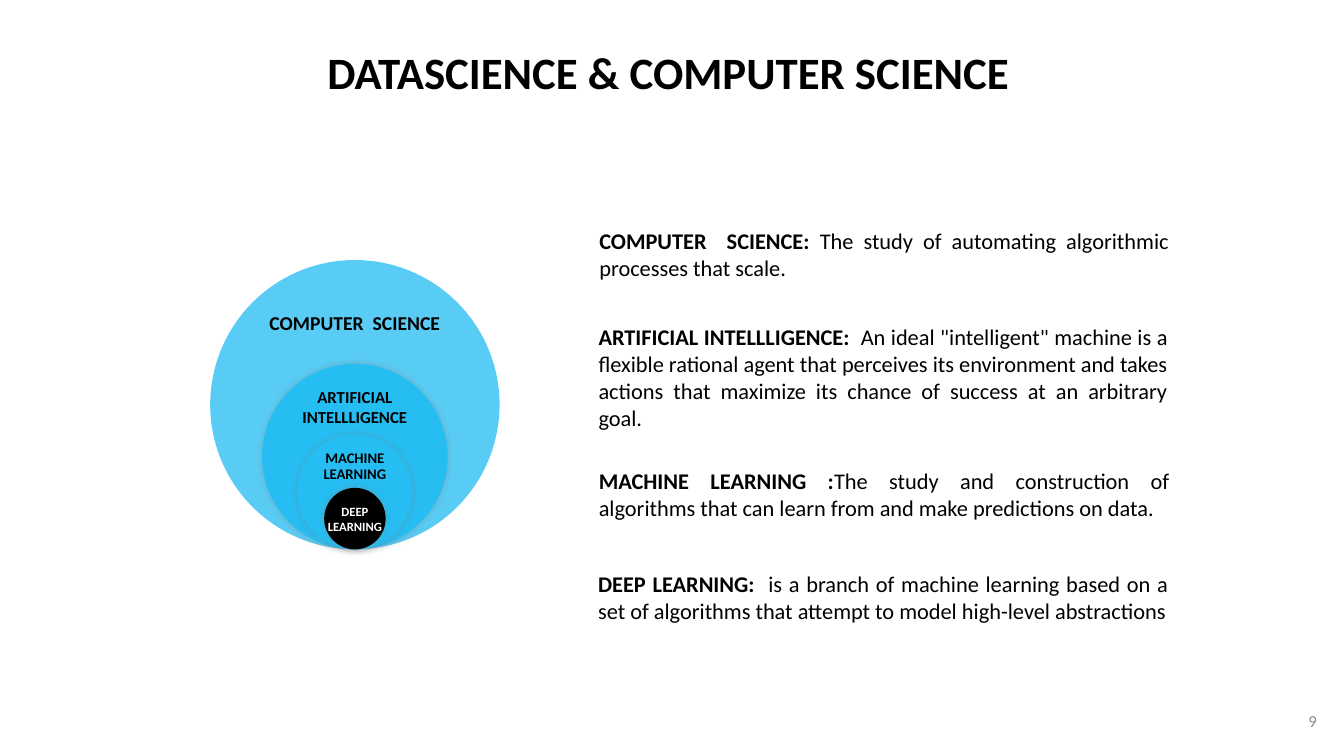
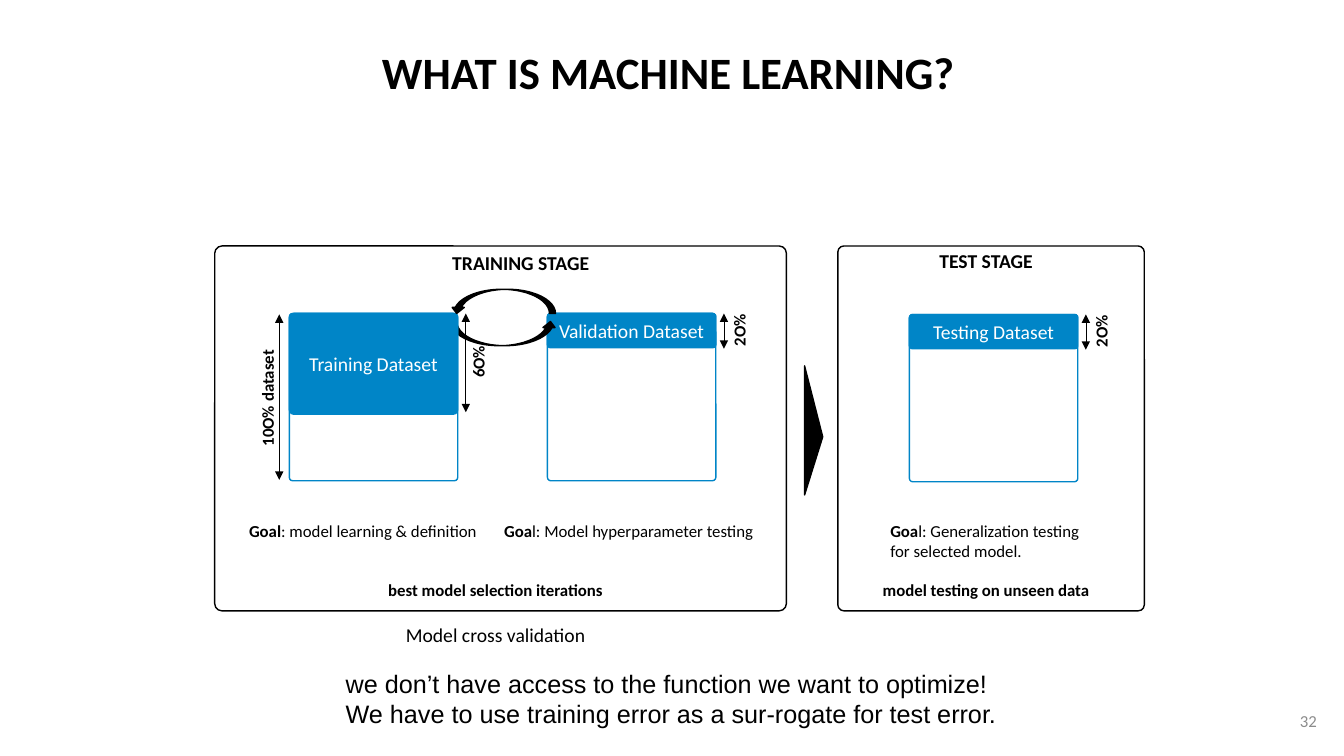
from lxml.etree import SubElement as Sub
from pptx import Presentation
from pptx.dml.color import RGBColor
from pptx.enum.shapes import MSO_CONNECTOR as Link, MSO_SHAPE as Form
from pptx.enum.text import MSO_ANCHOR as Anchor, PP_ALIGN as Align
from pptx.oxml.ns import qn
from pptx.util import Inches, Pt

HEX = {"ink": "000000", "paper": "FFFFFF", "grey": "8C8C8C", "shade": "808080",
       "pale": "59CCF5", "sky": "26BDF2", "blue": "0085C7"}
FONT = "Calibri"
SIDE = 1.67          # width of a dataset box
FULL = 1.66          # height of the whole dataset
PAD = (0.1, 0.05, 0.1, 0.05)
SLIM = (0, 0.05, 0.1, 0.05)


def tint(name):
    return RGBColor.from_string(HEX[name])


def write(frame, text, size, color="ink", bold=False, align=Align.LEFT,
          lead="", font=FONT, pitch=None):
    """Fill a frame; a lead is a bold run before the text."""
    frame.text = lead or text
    if lead:
        frame.paragraphs[0].add_run().text = text
    for para in frame.paragraphs:
        para.alignment = align
        if pitch:
            para.line_spacing = Pt(pitch)
        for i, run in enumerate(para.runs):
            run.font.name = font
            run.font.size = Pt(size)
            run.font.bold = bold or (bool(lead) and i == 0)
            run.font.color.rgb = tint(color)


def fill_in(item, text, size, pad=PAD, anchor=Anchor.TOP, wrap=True, **look):
    """Set the frame of a shape or text box, then its text."""
    frame = item.text_frame
    frame.word_wrap = wrap
    frame.vertical_anchor = anchor
    left, top, right, bottom = map(Inches, pad)
    frame.margin_left, frame.margin_top = left, top
    frame.margin_right, frame.margin_bottom = right, bottom
    write(frame, text, size, **look)


def label(page, box, text, size, turn=0, **look):
    item = page.shapes.add_textbox(*map(Inches, box))
    item.rotation = turn
    fill_in(item, text, size, **look)


def shape(page, form, box, fill=None, line=None, curve=None, flip=None):
    item = page.shapes.add_shape(form, *map(Inches, box))
    item.shadow.inherit = False
    if fill:
        item.fill.solid()
        item.fill.fore_color.rgb = tint(fill)
    else:
        item.fill.background()
    if line:
        item.line.color.rgb = tint(line)
        item.line.width = Pt(1)
    else:
        item.line.fill.background()
    if curve is not None:
        item.adjustments[0] = curve
    if flip:
        item._element.spPr.xfrm.set(flip, "1")
    return item


def glow(item):
    """Soft grey shadow all round."""
    effects = item._element.spPr.find(qn("a:effectLst"))
    outer = Sub(effects, qn("a:outerShdw"), blurRad=str(Pt(5)), dist="0")
    color = Sub(outer, qn("a:srgbClr"), val=HEX["shade"])
    Sub(color, qn("a:alpha"), val="40000")


def span(page, x, top, end):
    """Thin vertical line with a head at both ends."""
    item = page.shapes.add_connector(
        Link.STRAIGHT, Inches(x), Inches(top), Inches(x), Inches(end))
    item.line.color.rgb = tint("ink")
    item.line.width = Pt(0.5)
    line = item.line._get_or_add_ln()
    for tag in ("a:headEnd", "a:tailEnd"):
        Sub(line, qn(tag), type="triangle")
    Sub(item._element.spPr, qn("a:effectLst"))


def start(deck, title, number):
    """New slide with its title and number."""
    page = deck.slides.add_slide(deck.slide_layouts[5])
    head = page.shapes.title
    head.left, head.top = Inches(1.63), Inches(0.39)
    head.width, head.height = Inches(10), Inches(0.64)
    fill_in(head, title, 32, bold=True, align=Align.CENTER)
    label(page, (10.16, 6.95, 3, 0.4), number, 12, color="grey",
          align=Align.RIGHT, anchor=Anchor.MIDDLE)
    return page


def circle(page, size, fill, text, points, drop, color="ink", pitch=None):
    """Circle standing on the common base point."""
    item = shape(page, Form.OVAL, (3.52 - size / 2, 5.45 - size, size, size), fill)
    fill_in(item, text, points, (0, drop, 0, 0), wrap=False, color=color,
            bold=True, align=Align.CENTER, pitch=pitch)
    return item


def data(page, x, top, name, part, reach, share, gap=0.15):
    """Dataset outline with its used part, measure and share."""
    bar = shape(page, Form.ROUNDED_RECTANGLE, (x, top, SIDE, part),
                "blue", "blue", 0.03 / min(part, 0.66))
    fill_in(bar, name, 14, (0.04, 0.05, 0.04, 0.05), Anchor.MIDDLE,
            color="paper", align=Align.CENTER)
    shape(page, Form.ROUNDED_RECTANGLE, (x, top, SIDE, FULL),
          line="blue", curve=0.02)
    edge = x + SIDE + 0.08
    span(page, edge, top, top + reach)
    upright(page, edge + gap, top + reach / 2 - 0.01, 0.66, share)


def upright(page, x, y, width, text):
    label(page, (x - width / 2, y - 0.15, width, 0.3), text, 12, turn=270,
          bold=True, align=Align.CENTER)


def stage(page, x, width, title, shift, drop, note):
    """Frame with its heading and closing note."""
    shape(page, Form.ROUNDED_RECTANGLE, (x, 2.44, width, 3.62),
          line="ink", curve=0.02)
    look = dict(pad=SLIM, bold=True, align=Align.CENTER)
    label(page, (x + shift, 2.42 + drop, width, 0.34), title, 14, **look)
    label(page, (x, 5.7, width, 0.3), note, 12, **look)


def fields(deck):
    page = start(deck, "DATASCIENCE & COMPUTER SCIENCE", "9")

    # Definitions
    low = (0.1, 0.25, 0.1, 0)
    terms = [
        (5.83, 1.96, 1.12, PAD, "COMPUTER  SCIENCE: ",
         "The study of automating algorithmic processes that scale."),
        (5.82, 3.11, 1.26, PAD, "ARTIFICIAL INTELLLIGENCE:  ",
         'An ideal "intelligent" machine is a flexible rational agent that '
         "perceives its environment and takes actions that maximize its "
         "chance of success at an arbitrary goal."),
        (5.83, 4.41, 0.73, low, "MACHINE LEARNING :",
         "The study and construction of algorithms that can learn from and "
         "make predictions on data."),
        (5.82, 5.46, 0.93, PAD, "DEEP LEARNING:  ",
         "is a branch of machine learning based on a set of algorithms that "
         "attempt to model high-level abstractions"),
    ]
    for x, top, height, pad, lead, text in terms:
        card = shape(page, Form.ROUNDED_RECTANGLE, (x, top, 5.88, height),
                     "paper", curve=0.05)
        fill_in(card, text, 16, pad, Anchor.MIDDLE, lead=lead,
                align=Align.JUSTIFY)

    # Nested circles
    circle(page, 2.87, "pale", "COMPUTER  SCIENCE", 14, 0.08)
    glow(circle(page, 1.84, "sky", "ARTIFICIAL\nINTELLLIGENCE", 12, -0.04))
    glow(circle(page, 1.14, "sky", "MACHINE\nLEARNING", 10.5, 0, pitch=11))
    glow(circle(page, 0.61, "ink", "DEEP\nLEARNING", 9, 0.07, "paper"))


def stages(deck):
    page = start(deck, "WHAT IS MACHINE LEARNING?", "32")

    # Stages
    stage(page, 2.13, 5.67, "TRAINING STAGE", 0.25, 0.02,
          "best model selection iterations")
    stage(page, 8.31, 3.04, "TEST STAGE", 0, 0, "model testing on unseen data")
    wedge = shape(page, Form.ISOSCELES_TRIANGLE, (7.43, 4.18, 1.28, 0.18),
                  "ink", "ink", 0.55)
    wedge.rotation = 90

    # Datasets and the loop between them
    data(page, 5.43, 3.11, "Validation Dataset", 0.34, 0.35, "2O%")
    shape(page, Form.CURVED_DOWN_ARROW, (4.47, 3.19, 1.05, 0.24),
          "ink", "ink", flip="flipV")
    data(page, 2.87, 3.11, "Training Dataset", 1, 0.98, "6O%", 0.12)
    data(page, 9.02, 3.12, "Testing Dataset", 0.34, 0.35, "2O%")
    shape(page, Form.CURVED_DOWN_ARROW, (4.47, 2.87, 1.04, 0.24),
          "ink", "ink", flip="flipH")
    span(page, 2.77, 3.12, 4.76)
    upright(page, 2.65, 3.95, FULL, "10O% dataset")

    # Goals
    goals = [
        (2.47, 2.45, 0.3, "Goal", ": model learning & definition"),
        (5, 2.61, 0.3, "Goa", "l: Model hyperparameter testing"),
        (8.83, 2.09, 0.5, "Goa", "l: Generalization testing for selected model."),
    ]
    for x, width, height, lead, text in goals:
        label(page, (x, 5.12, width, height), text, 12, lead=lead, pad=SLIM)

    # Remarks
    label(page, (2.13, 6.13, 5.67, 0.34), "Model cross validation", 14,
          pad=SLIM, align=Align.CENTER)
    label(page, (3.33, 6.58, 6.67, 0.71),
          "we don’t have access to the function we want to optimize! We have "
          "to use training error as a sur-rogate for test error.",
          18, font="Arial")


def main():
    deck = Presentation()
    deck.slide_width, deck.slide_height = Inches(13.33), Inches(7.5)
    fields(deck)
    stages(deck)
    deck.save("out.pptx")


if __name__ == "__main__":
    main()
